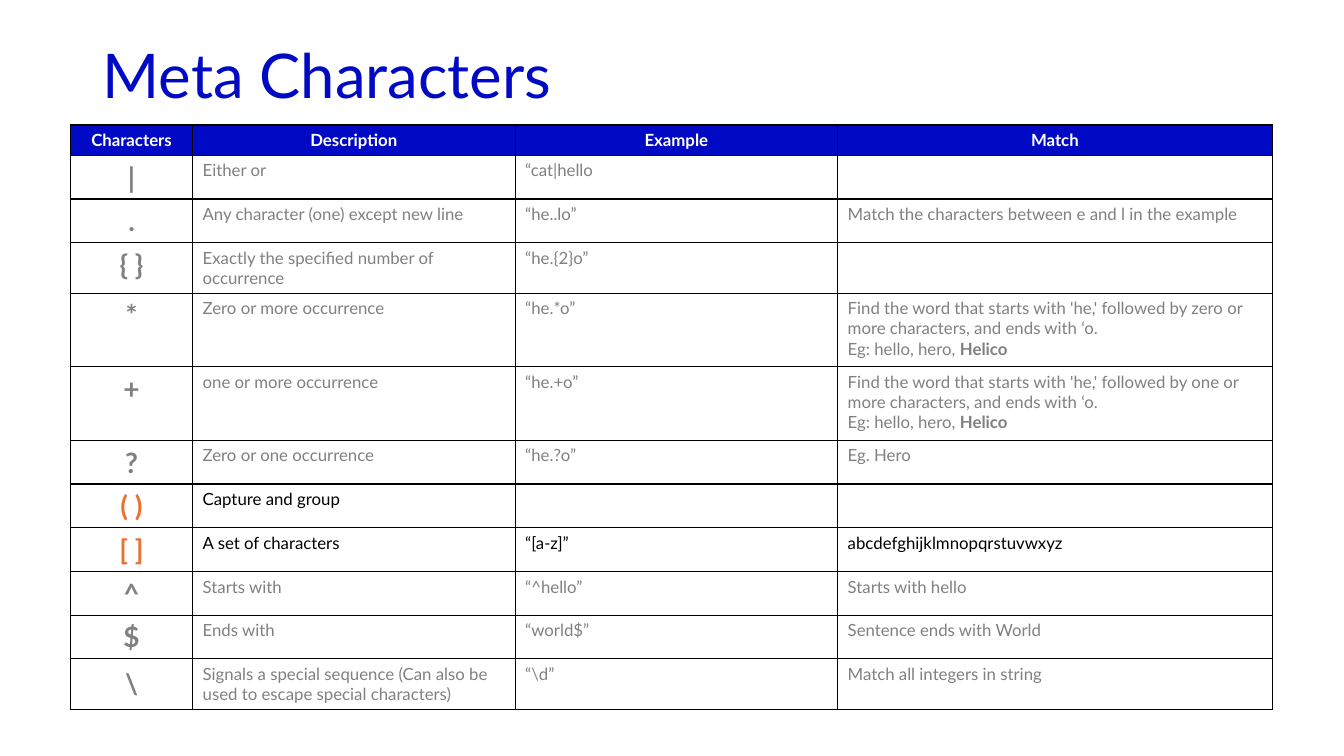
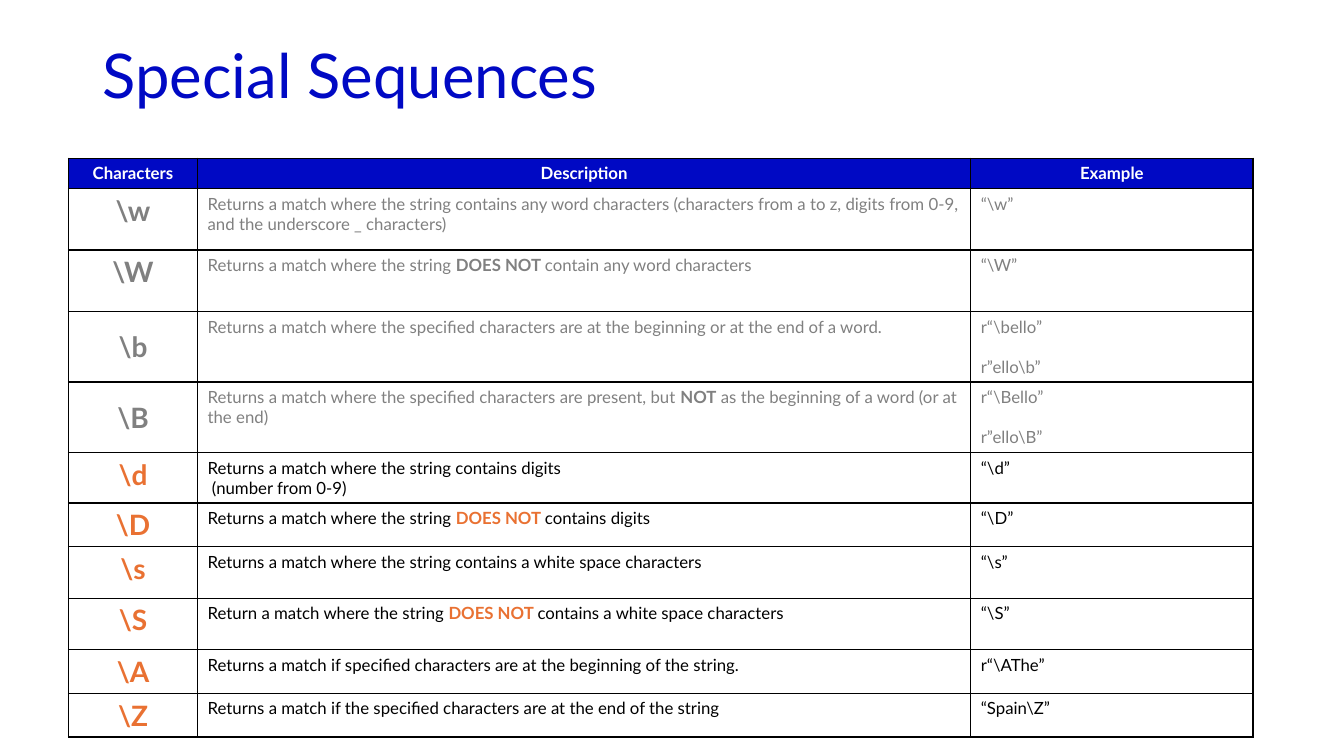
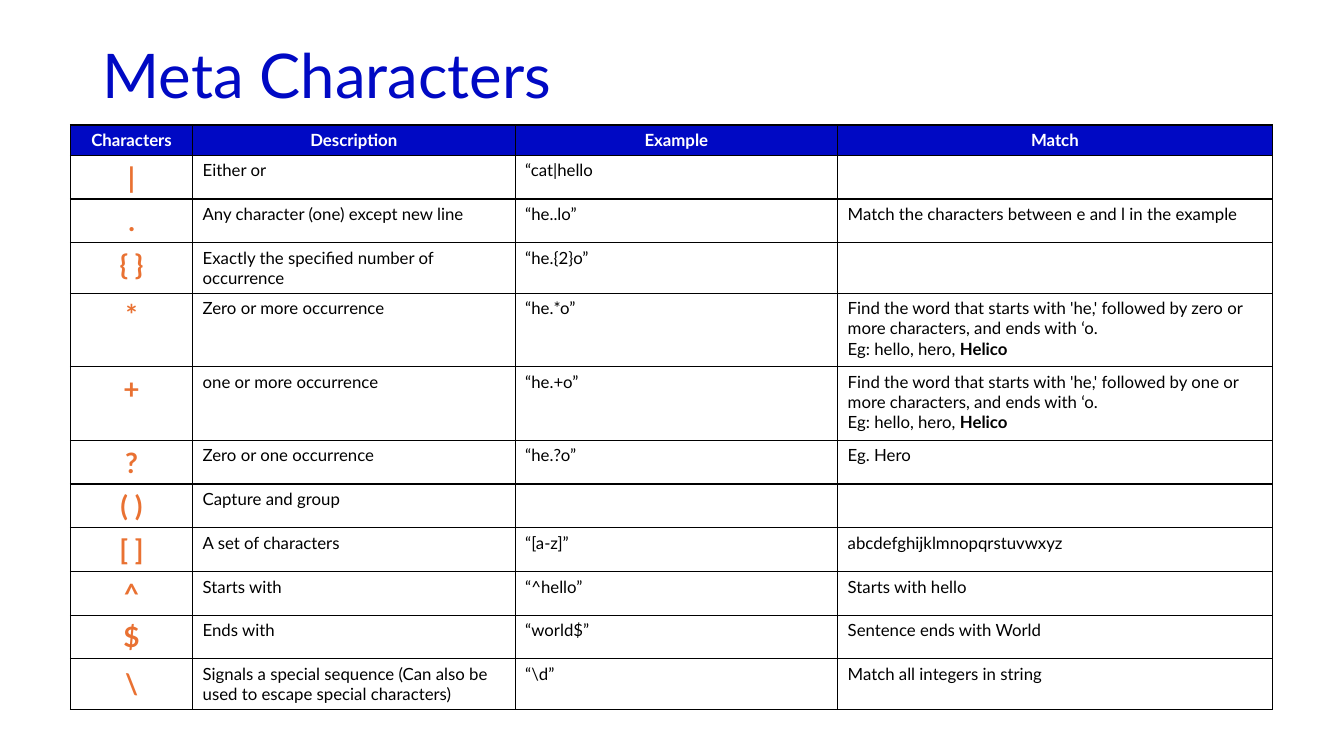
from pptx import Presentation
from pptx.dml.color import RGBColor
from pptx.enum.text import MSO_ANCHOR as Anchor, PP_ALIGN as Align
from pptx.oxml import parse_xml
from pptx.oxml.ns import nsdecls
from pptx.util import Inches, Pt

BLUE = RGBColor(0x00, 0x09, 0xC4)
ORANGE = RGBColor(0xE9, 0x71, 0x32)
GREY = RGBColor(0x80, 0x80, 0x80)
BLACK = RGBColor(0x00, 0x00, 0x00)
WHITE = RGBColor(0xFF, 0xFF, 0xFF)

FONT = "Lato"
TITLE = {"size": Pt(44), "bold": False}
HEADER = {"size": Pt(12), "bold": True}
SYMBOL = {"size": Pt(20), "bold": True}
BODY = {"size": Pt(12), "bold": False}
BLANK_LINE = Pt(14.4)

# Rows: symbol, then the texts. ** switches emphasis on and off.
META_HEADER = ["Characters", "Description", "Example", "Match"]
META_ROWS = [
    ["|", "Either or", "“cat|hello", ""],
    [".", "Any character (one) except new line", "“he..lo”",
     "Match the characters between e and l in the example"],
    ["{ }", "Exactly the specified number of occurrence", "“he.{2}o”", ""],
    ["*", "Zero or more occurrence", "“he.*o”",
     "Find the word that starts with 'he,' followed by zero or more characters, "
     "and ends with ‘o.\nEg: hello, hero, **Helico"],
    ["+", "one or more occurrence", "“he.+o”",
     "Find the word that starts with 'he,' followed by one or more characters, "
     "and ends with ‘o.\nEg: hello, hero, **Helico"],
    ["?", "Zero or one occurrence", "“he.?o”", "Eg. Hero"],
    ["( )", "Capture and group", "", ""],
    ["[ ]", "A set of characters", "“[a-z]”", "abcdefghijklmnopqrstuvwxyz"],
    ["^", "Starts with", "“^hello”", "Starts with hello"],
    ["$", "Ends with", "“world$”", "Sentence ends with World"],
    ["\\", "Signals a special sequence (Can also be used to escape special characters)",
     r"“\d”", "Match all integers in string"],
]
META_SYMBOLS = {row[0] for row in META_ROWS}

SEQUENCE_HEADER = ["Characters", "Description", "Example"]
SEQUENCE_ROWS = [
    [r"\w", "Returns a match where the string contains any word characters "
     "(characters from a to z, digits from 0-9, and the underscore _ characters)", r"“\w”"],
    [r"\W", "Returns a match where the string **DOES NOT **contain any word characters",
     r"“\W”"],
    [r"\b", "Returns a match where the specified characters are at the beginning "
     "or at the end of a word.", "r“\\bello”\n\nr”ello\\b”"],
    [r"\B", "Returns a match where the specified characters are present, but **NOT** "
     "as the beginning of a word (or at the end)", "r“\\Bello”\n\nr”ello\\B”"],
    [r"\d", "Returns a match where the string contains digits\n (number from 0-9)", r"“\d”"],
    [r"\D", "Returns a match where the string **DOES NOT **contains digits", r"“\D”"],
    [r"\s", "Returns a match where the string contains a white space characters", r"“\s”"],
    [r"\S", "Return a match where the string **DOES NOT **contains a white space characters",
     r"“\S”"],
    [r"\A", "Returns a match if specified characters are at the beginning of the string.",
     r"r“\AThe”"],
    [r"\Z", "Returns a match if the specified characters are at the end of the string",
     r"“Spain\Z”"],
]
CENTRED_SYMBOLS = {".", "[ ]", "\\", r"\b", r"\B", r"\A"}

# Places are percentages of the slide's width and height.
META_GRID = {"left": 5.25, "top": 16.53, "columns": [9.08, 24, 24, 32.33],
             "rows": [3.47] + [5.73] * 3 + [9.73] * 2 + [4.93] * 6}
SEQUENCE_GRID = {"left": 5.1, "top": 20.93, "columns": [9.6, 57.53, 21],
                 "rows": [3.47] + [8.13] * 4 + [5.87, 5.07, 6.8, 6.8, 5.07, 5.07]}


class Deck:
    def __init__(self):
        self.deck = Presentation()
        self.deck.slide_width = Inches(13.33)
        self.deck.slide_height = Inches(7.5)
        self.page = None

    def across(self, percent):
        return round(self.deck.slide_width * percent / 100)

    def down(self, percent):
        return round(self.deck.slide_height * percent / 100)

    def add_page(self, title):
        self.page = self.deck.slides.add_slide(self.deck.slide_layouts[6])
        box = self.page.shapes.add_textbox(self.across(6.9), self.down(5.33),
                                           self.across(86.25), self.down(19.33))
        box.text_frame.word_wrap = True
        self.add_text(box.text_frame, title, TITLE, BLUE)
        box.text_frame.paragraphs[0].line_spacing = 0.9

    def add_text(self, frame, text, style, colour, align=Align.LEFT, emphasis=None):
        """Fill a frame; an empty line becomes space before the next paragraph."""
        para, gap = frame.paragraphs[0], 0
        for number, line in enumerate(text.split("\n")):
            if not line:
                gap = BLANK_LINE
                continue
            if number:
                para = frame.add_paragraph()
            para.alignment = align
            if gap:
                para.space_before, gap = gap, 0
            for order, piece in enumerate(line.split("**")):
                if not piece:
                    continue
                strong = order % 2 == 1
                span = para.add_run()
                span.text = piece
                for name, value in {"name": FONT, **style}.items():
                    setattr(span.font, name, value)
                if strong:
                    span.font.bold = True
                span.font.color.rgb = emphasis if strong and emphasis else colour

    def outline(self, cell):
        properties = cell._tc.get_or_add_tcPr()
        for side in "LRTB":
            properties.append(parse_xml(
                f'<a:ln{side} {nsdecls("a")} w="{Pt(1)}"><a:solidFill>'
                f'<a:srgbClr val="{BLACK}"/></a:solidFill></a:ln{side}>'))

    def add_table(self, grid, header, rows, active, emphasis=BLACK):
        """Draw a table where rows with an active symbol stand out from grey ones."""
        columns, heights = grid["columns"], grid["rows"]
        table = self.page.shapes.add_table(
            len(heights), len(columns), self.across(grid["left"]), self.down(grid["top"]),
            self.across(sum(columns)), self.down(sum(heights))).table
        table.first_row = table.horz_banding = False
        for column, width in zip(table.columns, columns):
            column.width = self.across(width)
        for row, height in zip(table.rows, heights):
            row.height = self.down(height)

        for cell, text in zip(table.rows[0].cells, header):
            self.outline(cell)
            cell.fill.solid()
            cell.fill.fore_color.rgb = BLUE
            self.add_text(cell.text_frame, text, HEADER, WHITE, Align.CENTER)

        for row, (symbol, *texts) in zip(list(table.rows)[1:], rows):
            lit = symbol in active
            cells = list(row.cells)
            for cell in cells:
                self.outline(cell)
                cell.fill.background()
            self.add_text(cells[0].text_frame, symbol, SYMBOL,
                          ORANGE if lit else GREY, Align.CENTER)
            if symbol in CENTRED_SYMBOLS:
                cells[0].vertical_anchor = Anchor.MIDDLE
            for cell, text in zip(cells[1:], texts):
                self.add_text(cell.text_frame, text, BODY, BLACK if lit else GREY,
                              emphasis=emphasis if lit else GREY)


def main():
    slides = Deck()
    slides.add_page("Meta Characters")
    slides.add_table(META_GRID, META_HEADER, META_ROWS, {"( )", "[ ]"})

    slides.add_page("Special Sequences")
    slides.add_table(SEQUENCE_GRID, SEQUENCE_HEADER, SEQUENCE_ROWS,
                     {r"\d", r"\D", r"\s", r"\S", r"\A", r"\Z"}, ORANGE)

    slides.add_page("Meta Characters")
    slides.add_table(META_GRID, META_HEADER, META_ROWS, META_SYMBOLS)
    slides.deck.save("out.pptx")


if __name__ == "__main__":
    main()
